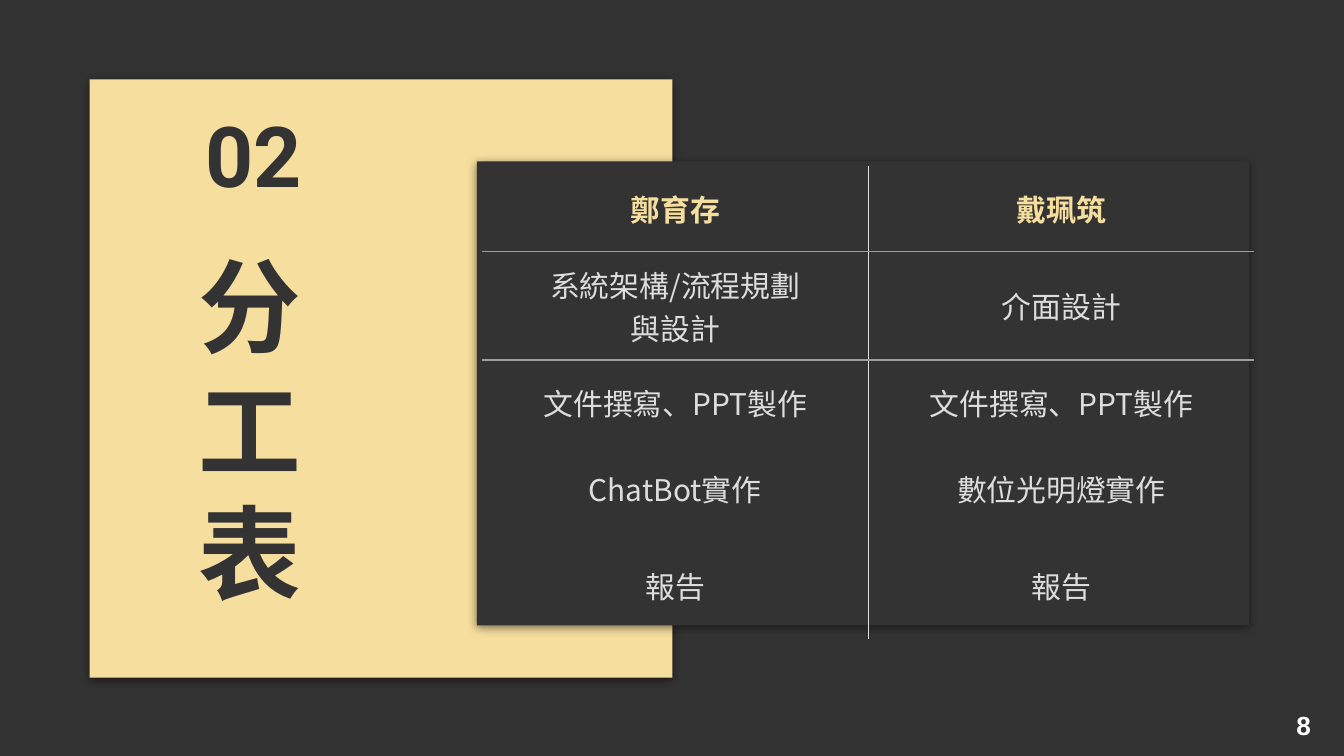
from dataclasses import dataclass

from lxml import etree
from pptx import Presentation
from pptx.dml.color import RGBColor
from pptx.enum.shapes import MSO_SHAPE
from pptx.enum.text import MSO_ANCHOR, PP_ALIGN
from pptx.oxml.ns import qn
from pptx.util import Pt

RECT = MSO_SHAPE.RECTANGLE
TOP, MIDDLE = MSO_ANCHOR.TOP, MSO_ANCHOR.MIDDLE
CENTER = PP_ALIGN.CENTER
PLAIN = "{2D5ABB26-0587-4C30-8999-92F81FD0307C}"


@dataclass(frozen=True)
class Theme:
    dark: str = "333333"
    gold: str = "F6DE9E"
    pale: str = "DDDDDD"
    rule: str = "9E9E9E"
    white: str = "FFFFFF"
    shade: str = "000000"
    latin: str = "Roboto"
    asian: str = "Noto Sans CJK JP"
    digit: str = "Arial"
    title: int = 55
    number: int = 45
    body: int = 16
    small: int = 14


class Deck:
    def __init__(self, theme, width, height):
        self.theme = theme
        self.prs = Presentation()
        self.prs.slide_width, self.prs.slide_height = Pt(width), Pt(height)
        self.slide = self.prs.slides.add_slide(self.prs.slide_layouts[6])
        fill = self.slide.background.fill
        fill.solid()
        fill.fore_color.rgb = RGBColor.from_string(theme.dark)

    def style(self, frame, font, size, color, bold, align=None):
        for para in frame.paragraphs:
            para.alignment = align
            for run in para.runs:
                run.font.name, run.font.size, run.font.bold = font, Pt(size), bold
                run.font.color.rgb = RGBColor.from_string(color)
                east = etree.Element(qn("a:ea"), typeface=self.theme.asian)
                run.font._element.find(qn("a:latin")).addnext(east)

    def panel(self, left, top, width, height, color):
        box = self.slide.shapes.add_shape(RECT, Pt(left), Pt(top), Pt(width), Pt(height))
        box.fill.solid()
        box.fill.fore_color.rgb = RGBColor.from_string(color)
        box.line.fill.background()
        # Soft shadow straight below
        box.shadow.inherit = False
        effects = box._element.spPr.find(qn("a:effectLst"))
        outer = etree.SubElement(
            effects, qn("a:outerShdw"), blurRad=str(Pt(5)), dist=str(Pt(1.5)),
            dir="5400000", algn="bl", rotWithShape="0")
        tint = etree.SubElement(outer, qn("a:srgbClr"), val=self.theme.shade)
        etree.SubElement(tint, qn("a:alpha"), val="50000")

    def label(self, text, left, top, width, height, font, size, color,
              anchor=TOP, wrap=True, pad=7.2):
        box = self.slide.shapes.add_textbox(Pt(left), Pt(top), Pt(width), Pt(height))
        frame = box.text_frame
        frame.word_wrap, frame.vertical_anchor = wrap, anchor
        frame.margin_left = frame.margin_right = Pt(7.2)
        frame.margin_top = frame.margin_bottom = Pt(pad)
        frame.text = text
        self.style(frame, font, size, color, True)

    def border(self, cell, sides):
        props = cell._tc.get_or_add_tcPr()
        for spot, (side, color) in enumerate(sides):
            line = etree.Element(qn("a:ln" + side), w=str(Pt(0.75)))
            fill = etree.SubElement(line, qn("a:solidFill"))
            etree.SubElement(fill, qn("a:srgbClr"), val=color)
            props.insert(spot, line)

    def table(self, rows, left, top, width, heights):
        theme, count = self.theme, len(rows[0])
        frame = self.slide.shapes.add_table(
            len(rows), count, Pt(left), Pt(top), Pt(width), Pt(sum(heights)))
        grid = frame.table
        grid.first_row = grid.horz_banding = False
        grid._tbl.tblPr.find(qn("a:tableStyleId")).text = PLAIN
        for col in grid.columns:
            col.width = Pt(width / count)
        for r, (texts, height) in enumerate(zip(rows, heights)):
            grid.rows[r].height = Pt(height)
            head = r == 0
            for c, text in enumerate(texts):
                cell = grid.cell(r, c)
                cell.fill.background()
                cell.vertical_anchor = MIDDLE
                cell.margin_left = cell.margin_right = Pt(7.2 if head else 13)
                cell.margin_top = cell.margin_bottom = Pt(7.2 if head else 6)
                cell.text_frame.text = text
                self.style(cell.text_frame, theme.asian, theme.body,
                           theme.gold if head else theme.pale, head, CENTER)
                # Inner column line, and a rule under the header
                sides = [("L" if c else "R", theme.pale)]
                if r < 2:
                    sides.append(("B" if head else "T", theme.rule))
                self.border(cell, sides)


def main():
    theme = Theme()
    deck = Deck(theme, 720, 405)

    # Panels
    deck.panel(48, 42.5, 312.25, 320.5, theme.gold)
    deck.panel(255.5, 86.5, 413.75, 248.5, theme.dark)

    # Division of work
    rows = [
        ("鄭育存", "戴珮筑"),
        ("系統架構/流程規劃\v與設計", "介面設計"),
        ("文件撰寫、PPT製作", "文件撰寫、PPT製作"),
        ("ChatBot實作", "數位光明燈實作"),
        ("報告", "報告"),
    ]
    deck.table(rows, 258.3, 88.8, 413.75, [46, 42, 46, 46, 57.6])

    # Section title and number
    deck.label("分工表", 99.5, 106.5, 80.5, 245.5, theme.latin, theme.title,
               theme.dark, anchor=MIDDLE)
    deck.label("02", 103, 48.5, 607.5, 76, theme.latin, theme.number, theme.dark)

    # Page number
    deck.label("8", 687.5, 376.5, 30, 24.25, theme.digit, theme.small,
               theme.white, wrap=False, pad=3.6)

    deck.prs.save("out.pptx")


if __name__ == "__main__":
    main()
